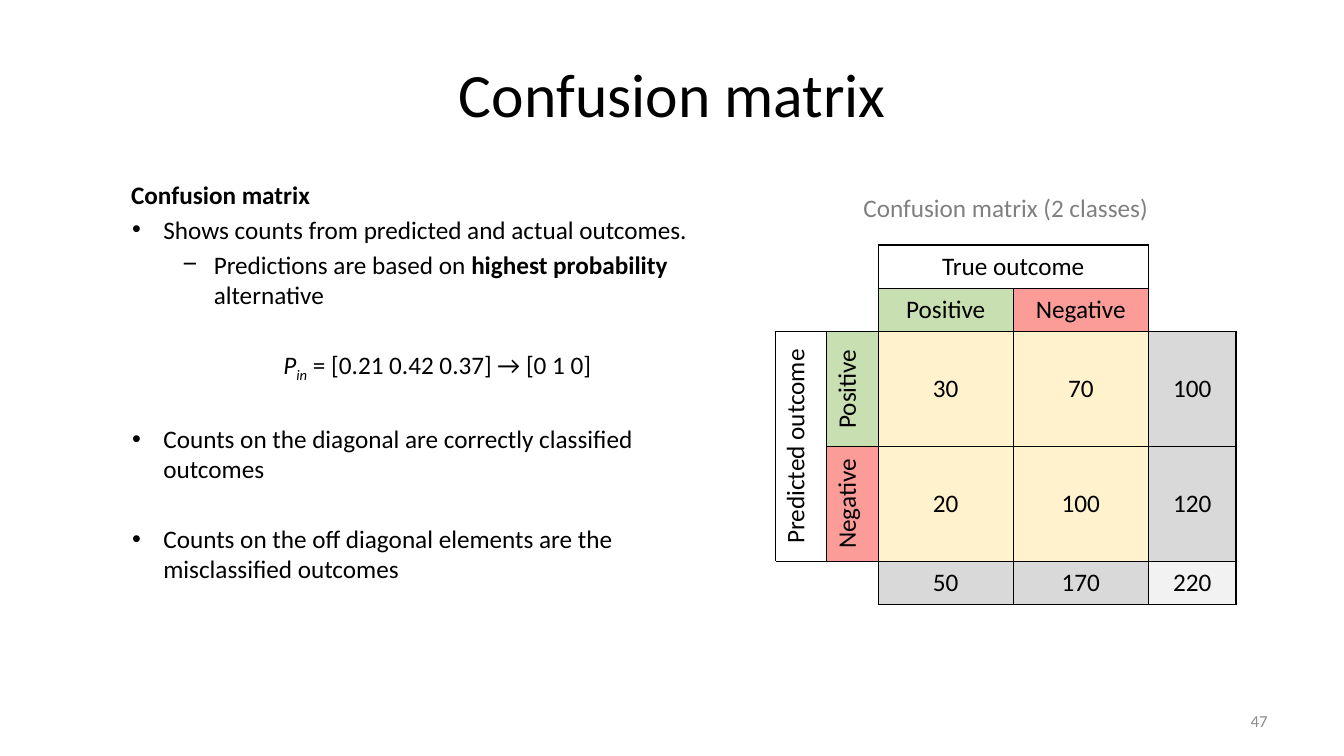
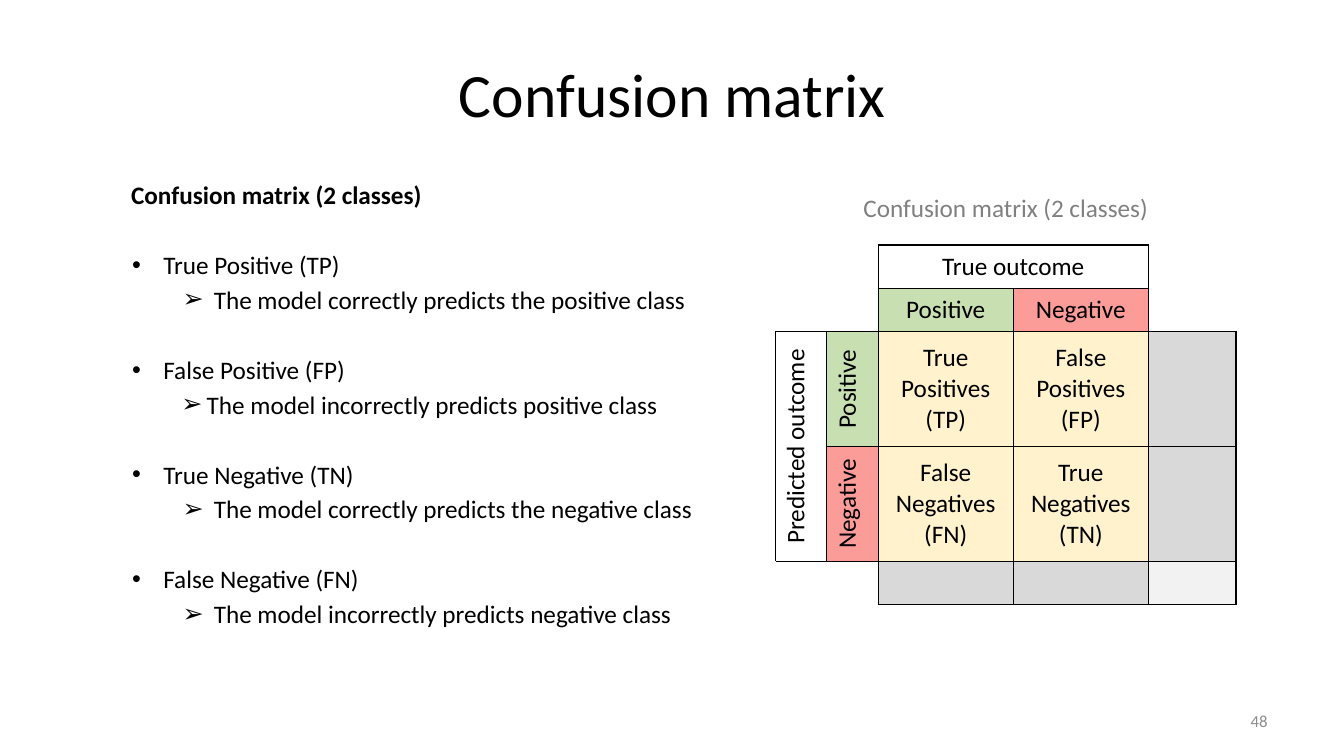
"""Build two slides that explain the two-class confusion matrix."""
from lxml import etree
from pptx import Presentation
from pptx import util as u
from pptx.dml.color import RGBColor
from pptx.enum import text as t
from pptx.oxml import ns

FONT = "Calibri"
BLACK = RGBColor(0x00, 0x00, 0x00)
WHITE = RGBColor(0xFF, 0xFF, 0xFF)
CAPTION_GRAY = RGBColor(0x80, 0x80, 0x80)
NUMBER_GRAY = RGBColor(0x8C, 0x8C, 0x8C)
GREEN = RGBColor(0xC8, 0xDF, 0xB1)
RED = RGBColor(0xFC, 0x9C, 0x99)
YELLOW = RGBColor(0xFF, 0xF2, 0xCD)
TOTAL_GRAY = RGBColor(0xD9, 0xD9, 0xD9)
GRAND_GRAY = RGBColor(0xF2, 0xF2, 0xF2)

TITLE = "Confusion matrix"
CAPTION = "Confusion matrix (2 classes)"
TITLE_AREA = (2.17, 0.3, 9, 1.25)
BODY_AREA = (1.14, 1.73, 5.84, 4.94)
CAPTION_AREA = (7.69, 1.86, 4.57, 0.31)
NUMBER_AREA = (9.56, 6.95, 3.11, 0.4)
TABLE_LEFT, TABLE_TOP = 7.69, 2.43
COLUMNS = (0.51, 0.51, 1.34, 1.34, 0.87)
ROWS = (0.43, 0.43, 1.14, 1.14, 0.43)
TEXT_SIZE = 18
LINE_GAP, SECTION_GAP = 3.2, 28.4

# style: level, left indent, first-line indent, bullet
STYLES = {
    "heading": (0, 0.06, 0, None),
    "point": (0, 0.38, -0.31, "•"),
    "dash": (1, 0.88, -0.31, "−"),
    "arrow": (1, 0.88, -0.31, "➢"),
    "tight arrow": (1, 0.81, -0.25, "➢"),
    "formula": (1, 1.57, 0, None),
}

SLIDES = [
    {
        "number": "47",
        "body": [
            ("heading", 0, [("Confusion matrix", "b")]),
            ("point", LINE_GAP, [("Shows counts from predicted and actual outcomes.", "")]),
            ("dash", LINE_GAP, [("Predictions are based on ", ""),
                                ("highest probability ", "b"), ("alternative", "")]),
            ("formula", SECTION_GAP, [("P", "i"), ("in", "is"),
                                      (" = [0.21 0.42 0.37] → [0 1 0]", "")]),
            ("point", SECTION_GAP,
             [("Counts on the diagonal are correctly classified outcomes", "")]),
            ("point", SECTION_GAP,
             [("Counts on the off diagonal elements are the misclassified outcomes", "")]),
        ],
        "values": [["30", "70", "100"], ["20", "100", "120"], ["50", "170", "220"]],
    },
    {
        "number": "48",
        "body": [
            ("heading", 0, [("Confusion matrix (2 classes)", "b")]),
            ("point", SECTION_GAP, [("True Positive (TP)", "")]),
            ("arrow", LINE_GAP, [("The model correctly predicts the positive class", "")]),
            ("point", SECTION_GAP, [("False Positive (FP)", "")]),
            ("tight arrow", LINE_GAP, [("The model incorrectly predicts positive class", "")]),
            ("point", SECTION_GAP, [("True Negative (TN)", "")]),
            ("arrow", LINE_GAP, [("The model correctly predicts the negative class", "")]),
            ("point", SECTION_GAP, [("False Negative (FN)", "")]),
            ("arrow", LINE_GAP, [("The model incorrectly predicts negative class", "")]),
        ],
        "values": [["True Positives (TP)", "False Positives\n(FP)", ""],
                   ["False Negatives\n(FN)", "True Negatives\n(TN)", ""],
                   ["", "", ""]],
    },
]

# row, column, row span, column span, text, fill, upright, white sides
HEADERS = [
    (0, 0, 2, 2, "", WHITE, False, "LT"),
    (0, 2, 1, 2, "True outcome", WHITE, False, ""),
    (0, 4, 2, 1, "", WHITE, False, "TR"),
    (1, 2, 1, 1, "Positive", GREEN, False, ""),
    (1, 3, 1, 1, "Negative", RED, False, ""),
    (2, 0, 2, 1, "Predicted outcome", WHITE, True, ""),
    (2, 1, 1, 1, "Positive", GREEN, True, ""),
    (3, 1, 1, 1, "Negative", RED, True, ""),
    (4, 0, 1, 2, "", WHITE, False, "LB"),
]
VALUE_FILLS = [[YELLOW, YELLOW, TOTAL_GRAY], [YELLOW, YELLOW, TOTAL_GRAY],
               [TOTAL_GRAY, TOTAL_GRAY, GRAND_GRAY]]


def place(shape, area):
    shape.left, shape.top, shape.width, shape.height = map(u.Inches, area)


def add_run(para, words, size=TEXT_SIZE, color=BLACK, marks=""):
    span = para.add_run()
    span.text = words
    font = span.font
    font.name, font.size, font.color.rgb = FONT, u.Pt(size), color
    font.bold, font.italic = "b" in marks, "i" in marks
    if "s" in marks:
        span._r.get_or_add_rPr().set("baseline", "-25000")


def add_label(page, area, words, size, color, align, anchor):
    box = page.shapes.add_textbox(*map(u.Inches, area))
    frame = box.text_frame
    frame.word_wrap, frame.vertical_anchor = True, anchor
    frame.paragraphs[0].alignment = align
    add_run(frame.paragraphs[0], words, size, color)


def style_paragraph(para, style, gap):
    level, left, first, bullet = STYLES[style]
    para.level = level
    props = para._p.get_or_add_pPr()
    props.set("marL", str(u.Inches(left)))
    props.set("indent", str(u.Inches(first)))
    if bullet:
        etree.SubElement(props, ns.qn("a:buFont")).set("typeface", "Arial")
        etree.SubElement(props, ns.qn("a:buChar")).set("char", bullet)
    else:
        etree.SubElement(props, ns.qn("a:buNone"))
    para.space_before = u.Pt(gap)


def fill_body(frame, items):
    for index, (style, gap, spans) in enumerate(items):
        para = frame.add_paragraph() if index else frame.paragraphs[0]
        style_paragraph(para, style, gap)
        for words, marks in spans:
            add_run(para, words, marks=marks)


def set_border(cell, side, color):
    line = etree.SubElement(cell._tc.get_or_add_tcPr(), ns.qn("a:ln" + side))
    line.set("w", str(u.Pt(1)))
    fill = etree.SubElement(line, ns.qn("a:solidFill"))
    etree.SubElement(fill, ns.qn("a:srgbClr")).set("val", str(color))


def add_block(table, row, column, height, width, words, fill, upright, white_sides):
    last_row, last_column = row + height - 1, column + width - 1
    for r in range(row, last_row + 1):
        for c in range(column, last_column + 1):
            cell = table.cell(r, c)
            edges = {"L": c == column, "R": c == last_column,
                     "T": r == row, "B": r == last_row}
            for side, outer in edges.items():
                if outer:
                    set_border(cell, side, WHITE if side in white_sides else BLACK)
            cell.fill.solid()
            cell.fill.fore_color.rgb = fill
    cell = table.cell(row, column)
    if height * width > 1:
        cell.merge(table.cell(last_row, last_column))
    cell.vertical_anchor = t.MSO_ANCHOR.MIDDLE
    if upright:
        cell._tc.get_or_add_tcPr().set("vert", "vert270")
    frame = cell.text_frame
    for index, line in enumerate(words.split("\n") if words else []):
        para = frame.add_paragraph() if index else frame.paragraphs[0]
        para.alignment = t.PP_ALIGN.CENTER
        add_run(para, line)


def add_matrix(page, values):
    area = (TABLE_LEFT, TABLE_TOP, sum(COLUMNS), sum(ROWS))
    table = page.shapes.add_table(len(ROWS), len(COLUMNS), *map(u.Inches, area)).table
    table.first_row = table.horz_banding = False
    for column, width in zip(table.columns, COLUMNS):
        column.width = u.Inches(width)
    for row, height in zip(table.rows, ROWS):
        row.height = u.Inches(height)
    for block in HEADERS:
        add_block(table, *block)
    for r, (words, fills) in enumerate(zip(values, VALUE_FILLS), 2):
        for c, (word, fill) in enumerate(zip(words, fills), 2):
            add_block(table, r, c, 1, 1, word, fill, False, "")


def add_page(deck, layout, content):
    page = deck.slides.add_slide(layout)
    title, body = page.placeholders
    title_para = title.text_frame.paragraphs[0]
    title_para.alignment = t.PP_ALIGN.CENTER
    add_run(title_para, TITLE, 44)
    body.text_frame.auto_size = t.MSO_AUTO_SIZE.NONE
    fill_body(body.text_frame, content["body"])
    add_matrix(page, content["values"])
    add_label(page, CAPTION_AREA, CAPTION, TEXT_SIZE, CAPTION_GRAY,
              t.PP_ALIGN.CENTER, t.MSO_ANCHOR.TOP)
    add_label(page, NUMBER_AREA, content["number"], 12, NUMBER_GRAY,
              t.PP_ALIGN.RIGHT, t.MSO_ANCHOR.MIDDLE)


def main():
    deck = Presentation()
    deck.slide_width, deck.slide_height = u.Inches(13.33), u.Inches(7.5)
    layout = deck.slide_layouts[1]
    for index, area in enumerate((TITLE_AREA, BODY_AREA)):
        place(layout.placeholders[index], area)
    for content in SLIDES:
        add_page(deck, layout, content)
    deck.save("out.pptx")


if __name__ == "__main__":
    main()
